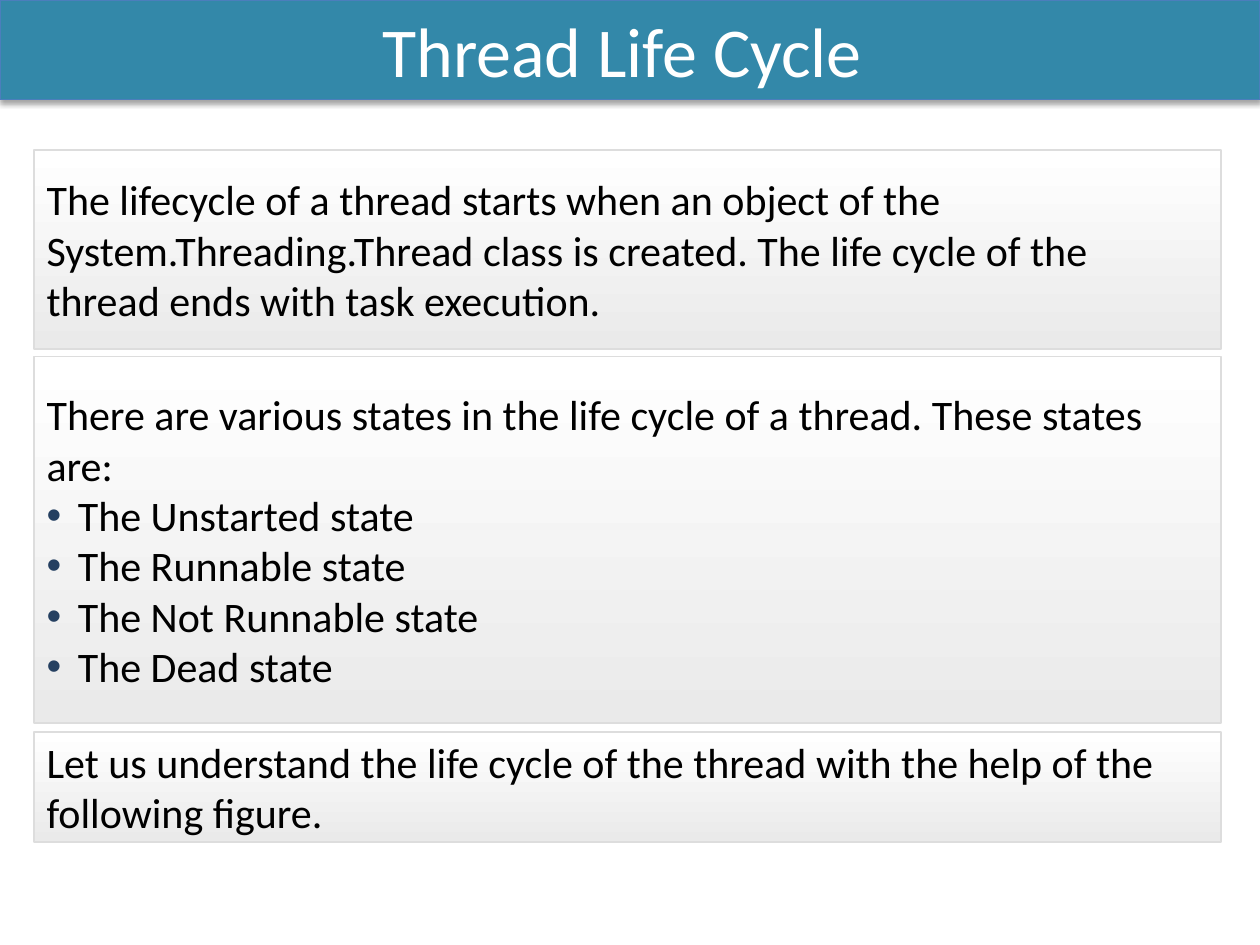
from lxml import etree
from pptx import Presentation
from pptx.dml.color import RGBColor
from pptx.enum.shapes import MSO_SHAPE
from pptx.enum.text import MSO_ANCHOR, MSO_AUTO_SIZE, PP_ALIGN
from pptx.oxml import parse_xml
from pptx.oxml.ns import nsdecls, qn
from pptx.util import Cm, Pt

FRAME_FORMAT = {
    "word_wrap": True,
    "auto_size": MSO_AUTO_SIZE.NONE,
    "vertical_anchor": MSO_ANCHOR.MIDDLE,
    "margin_left": Cm(0.25),
    "margin_right": Cm(0.25),
    "margin_top": Cm(0.13),
    "margin_bottom": Cm(0.13),
}
BULLET_INDENT = Cm(0.63)

# top and height in cm, opening paragraph, bulleted paragraphs
PANELS = [
    (3.02, 4.01,
     "The lifecycle of a thread starts when an object of the "
     "System.Threading.Thread class is created. The life cycle of the "
     "thread ends with task execution.", []),
    (7.19, 7.39,
     "There are various states in the life cycle of a thread. "
     "These states are:",
     ["The Unstarted state", "The Runnable state",
      "The Not Runnable state", "The Dead state"]),
    (14.76, 2.21,
     "Let us understand the life cycle of the thread with the help of the "
     "following figure.", []),
]


def color(hex_value):
    return RGBColor.from_string(hex_value)


def write_paragraph(paragraph, text, size, hex_value, alignment):
    paragraph.alignment = alignment
    run = paragraph.add_run()
    run.text = text
    font_format = {"name": "Calibri", "size": Pt(size), "bold": False}
    for name, value in font_format.items():
        setattr(run.font, name, value)
    run.font.color.rgb = color(hex_value)


presentation = Presentation()
presentation.slide_width = Cm(25.4)
presentation.slide_height = Cm(19.05)
slide = presentation.slides.add_slide(presentation.slide_layouts[5])

# Title bar with a soft shadow below it
title = slide.shapes.title
title_place = {"left": 0, "top": 0, "width": Cm(25.4), "height": Cm(2.01)}
for name, value in title_place.items():
    setattr(title, name, value)
title.fill.solid()
title.fill.fore_color.rgb = color("3388A9")
title.line.color.rgb = color("4B7EBC")
title.line.width = Pt(0.75)
title.shadow.inherit = False
effects = title.element.spPr.find(qn("a:effectLst"))
effects.append(parse_xml(
    f'<a:outerShdw {nsdecls("a")} blurRad="{Pt(3.1)}" dist="{Pt(1.8)}" '
    'dir="5400000" rotWithShape="0"><a:srgbClr val="000000">'
    '<a:alpha val="35000"/></a:srgbClr></a:outerShdw>'))
for name, value in FRAME_FORMAT.items():
    setattr(title.text_frame, name, value)
write_paragraph(title.text_frame.paragraphs[0], "Thread Life Cycle ", 40,
                "FFFFFF", PP_ALIGN.CENTER)

# Text panels
for top, height, opening, bullets in PANELS:
    panel = slide.shapes.add_shape(MSO_SHAPE.RECTANGLE, Cm(0.69), Cm(top),
                                   Cm(23.93), Cm(height))
    panel.shadow.inherit = False
    panel.fill.gradient()
    panel.fill.gradient_angle = 270
    for stop, hex_value in zip(panel.fill.gradient_stops,
                               ("FFFFFF", "EAEAEA")):
        stop.color.rgb = color(hex_value)
    panel.line.color.rgb = color("DDDDDD")
    panel.line.width = Pt(1)

    frame = panel.text_frame
    for name, value in FRAME_FORMAT.items():
        setattr(frame, name, value)
    write_paragraph(frame.paragraphs[0], opening, 24, "000000", PP_ALIGN.LEFT)

    for text in bullets:
        paragraph = frame.add_paragraph()
        properties = paragraph._p.get_or_add_pPr()
        properties.set("marL", str(BULLET_INDENT))
        properties.set("indent", str(-BULLET_INDENT))
        bullet_color = etree.SubElement(properties, qn("a:buClr"))
        etree.SubElement(bullet_color, qn("a:srgbClr"), val="254061")
        etree.SubElement(properties, qn("a:buFont"), typeface="Arial")
        etree.SubElement(properties, qn("a:buChar"), char="•")
        write_paragraph(paragraph, text, 24, "000000", PP_ALIGN.LEFT)

presentation.save("out.pptx")
